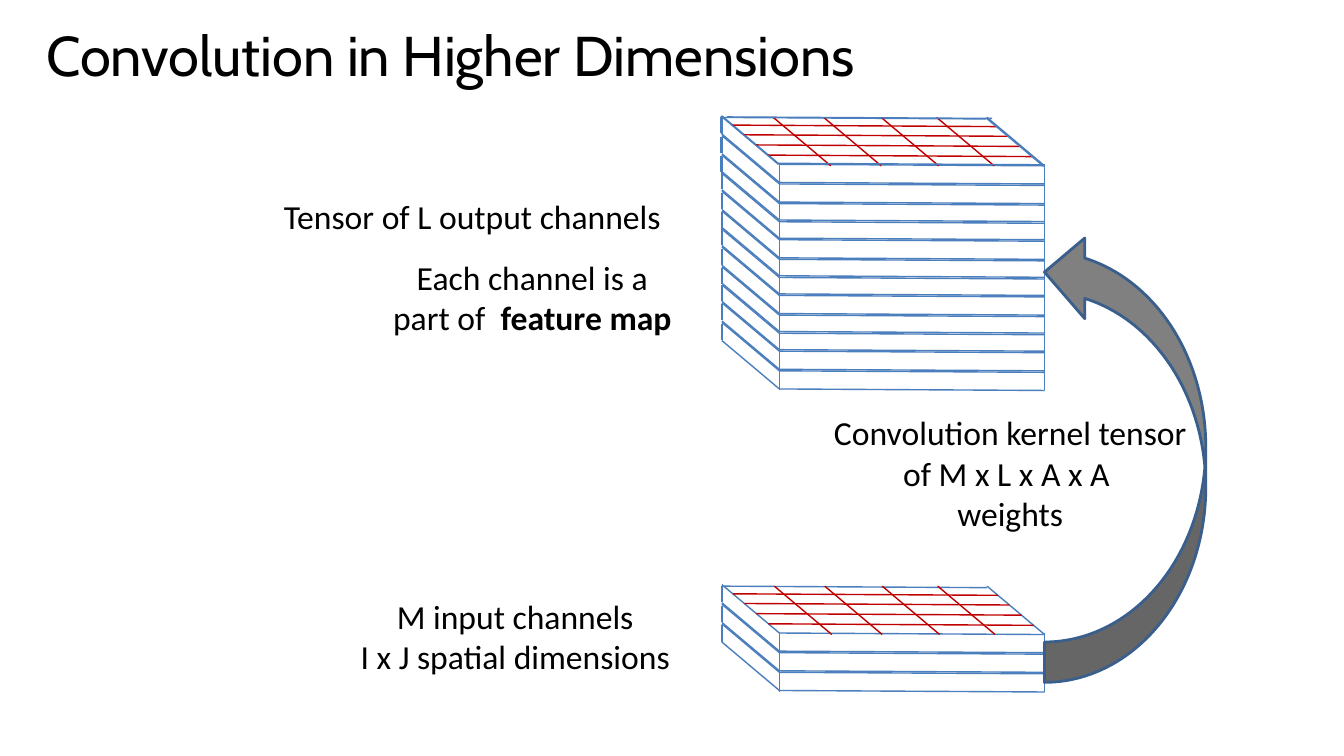
"""Build the slide on convolution in higher dimensions."""
from lxml import etree
from pptx import Presentation
from pptx import util as u
from pptx.dml.color import RGBColor
from pptx.enum import shapes, text
from pptx.oxml import ns

BLACK = RGBColor(0, 0, 0)
BLUE = RGBColor(0x4B, 0x7E, 0xBC)
NAVY = RGBColor(0x3A, 0x5F, 0x8C)
RED = RGBColor(0xC0, 0, 0)
GRAY = RGBColor(0x80, 0x80, 0x80)

deck = Presentation()
deck.slide_width, deck.slide_height = u.Inches(13.33), u.Inches(7.5)
slide = deck.slides.add_slide(deck.slide_layouts[5])


def draw(x, y, dx, dy, color):
    """Draw a thin line from a point by an offset."""
    ends = [u.Inches(v) for v in (x, y, x + dx, y + dy)]
    line = slide.shapes.add_connector(shapes.MSO_CONNECTOR.STRAIGHT, *ends)
    line.line.color.rgb = color
    line.line.width = u.Pt(1)
    etree.SubElement(line._element.spPr, ns.qn("a:effectLst"))


def write(frame, rows, style):
    """Fill a text frame with rows of (words, bold) runs."""
    for num, row in enumerate(rows):
        para = frame.paragraphs[0] if num == 0 else frame.add_paragraph()
        para.alignment = style["align"]
        for words, bold in row:
            run = para.add_run()
            run.text = words
            run.font.color.rgb = BLACK
            for key, val in {**style["font"], "bold": bold}.items():
                setattr(run.font, key, val)


title = slide.shapes.title
for key, val in dict(left=0.36, top=0.23, width=12.74, height=0.74).items():
    setattr(title, key, u.Inches(val))
for key, val in dict(auto_size=text.MSO_AUTO_SIZE.NONE, word_wrap=True,
                     vertical_anchor=text.MSO_ANCHOR.MIDDLE).items():
    setattr(title.text_frame, key, val)
write(title.text_frame, [[("Convolution in Higher Dimensions", False)]],
      dict(align=text.PP_ALIGN.LEFT, font=dict(name="Cabin", size=u.Pt(40))))
title.text_frame.paragraphs[0].line_spacing = 0.8

WIDE, DEEP, DROP = 2.63, 0.57, 0.48
TILT, THICK, STEP, GROUP = 0.015, 0.18, 0.195, 0.553
BACK = 7.16
FRONT, RIGHT = BACK + DEEP, BACK + DEEP + WIDE

for base, count, shift in ((6.28, 3, 0), (1.63, 12, -0.01)):
    for num in range(count):
        y = base + num // 3 * GROUP + num % 3 * STEP
        for edge in (y, y + THICK):
            draw(FRONT, edge, WIDE, TILT, BLUE)
            draw(BACK, edge - DROP, DEEP, DROP, BLUE)
        for x in (FRONT, RIGHT):
            draw(x, y, 0, STEP, BLUE)
        draw(BACK, y - DROP + TILT, 0, 0.16, BLUE)
    top = base - DROP + TILT
    draw(BACK + shift, top, WIDE, TILT, BLUE)
    draw(BACK + WIDE, top, DEEP, DROP, BLUE)
    for part in (0.19, 0.39, 0.6, 0.81):
        draw(BACK + shift + part * DEEP, base - (1 - part) * DROP, WIDE, TILT, RED)
    for gap in (0.52, 1.02, 1.59, 2.14):
        draw(BACK + shift + gap, top, DEEP, DROP, RED)

EDGE = BACK - 0.01
draw(BACK + 0.05, 1.16, WIDE, TILT, BLUE)
draw(EDGE + WIDE, 1.17, DEEP, DROP, BLUE)
draw(EDGE + DEEP, 1.62, WIDE, TILT, BLUE)
draw(EDGE, 1.15, DEEP, DROP, BLUE)
for num in range(3):
    draw(EDGE, 1.16 + num * STEP, 0, 0.16, BLUE)

spot = [u.Inches(v) for v in (RIGHT, 2.3, 1.6, 4.47)]
arrow = slide.shapes.add_shape(shapes.MSO_SHAPE.CURVED_RIGHT_ARROW, *spot)
arrow.shadow.inherit = False
arrow.fill.solid()
arrow.fill.fore_color.rgb = GRAY
arrow.line.color.rgb = NAVY
arrow.line.width = u.Pt(2)
for key in ("flipH", "flipV"):
    arrow._element.spPr.xfrm.set(key, "1")

LABEL = dict(align=text.PP_ALIGN.CENTER, font=dict(name="Calibri", size=u.Pt(24)))
labels = (
    ((3.29, 5.86, 3.64, 0.91), [[("M input channels", False)],
                                [("I x J spatial dimensions", False)]]),
    ((2.6, 1.89, 4.17, 0.5), [[("Tensor of L output channels", False)]]),
    ((7.62, 4.04, 4.8, 1.31), [[("Convolution kernel tensor", False)],
                               [("of M x L x A x A ", False)],
                               [("weights", False)]]),
    ((3.73, 2.5, 3.1, 0.91), [[("Each channel is a part of  ", False),
                               ("feature map", True)]]),
)
for place, rows in labels:
    box = slide.shapes.add_textbox(*[u.Inches(v) for v in place])
    box.text_frame.word_wrap = True
    box.text_frame.auto_size = text.MSO_AUTO_SIZE.SHAPE_TO_FIT_TEXT
    write(box.text_frame, rows, LABEL)

deck.save("out.pptx")
